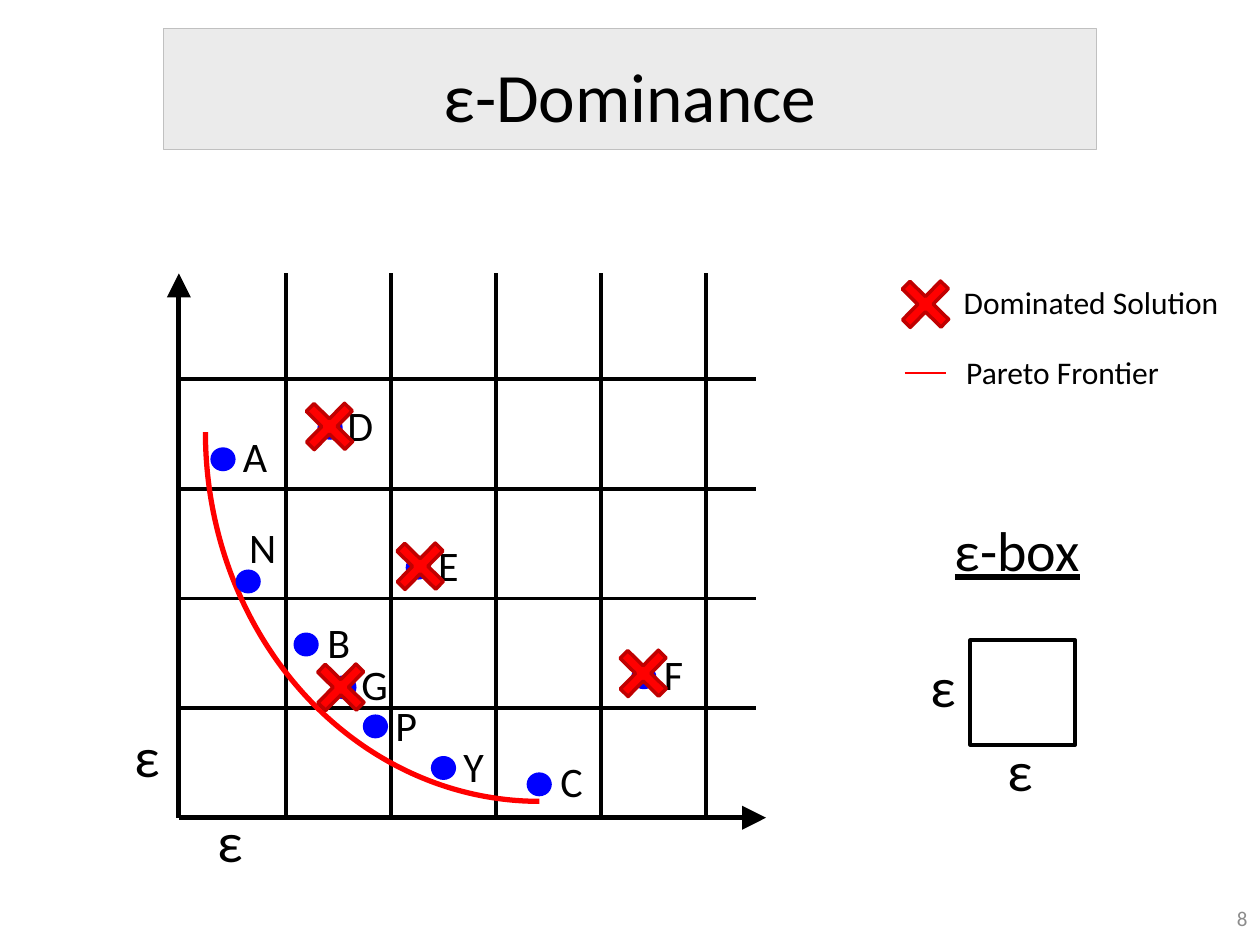
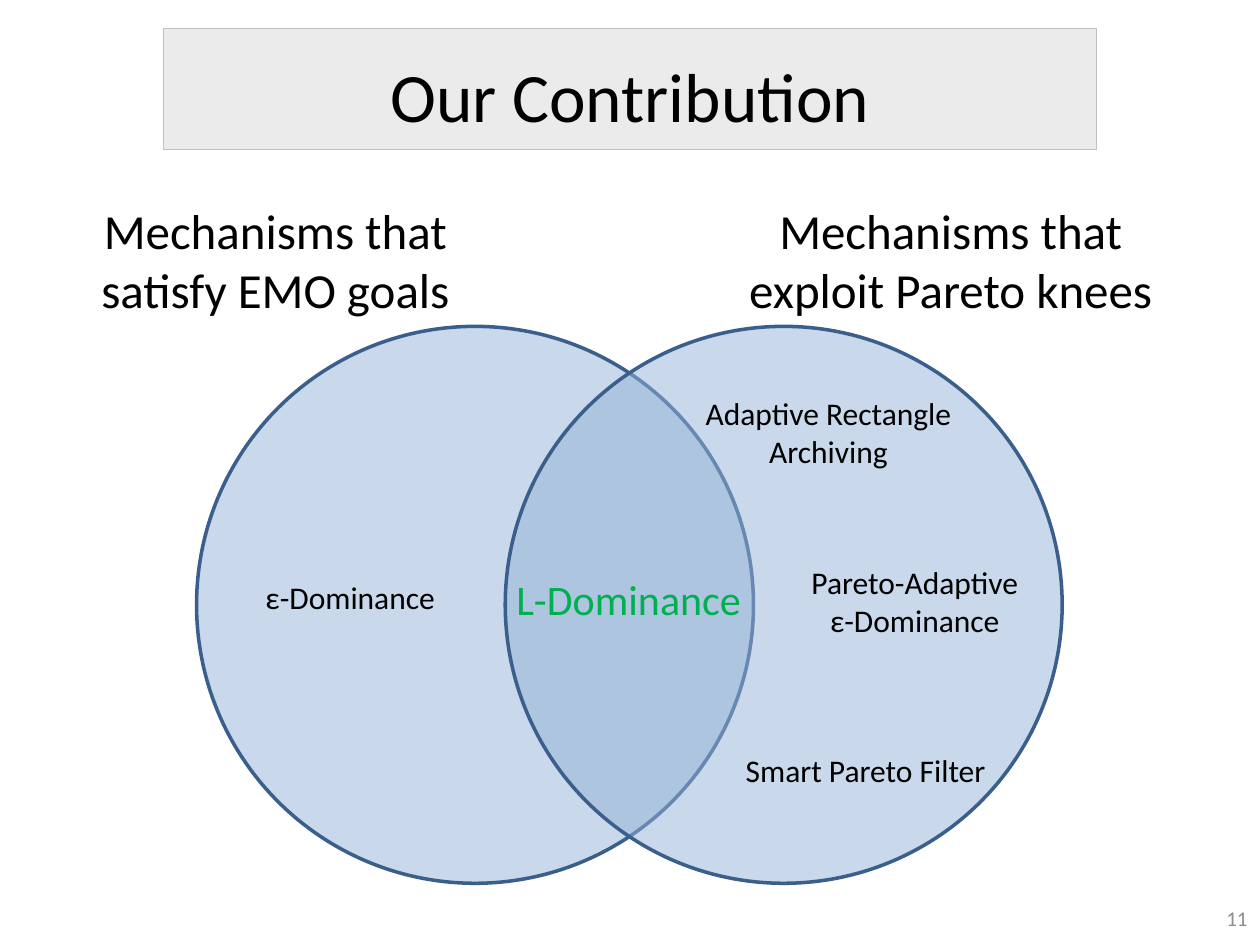
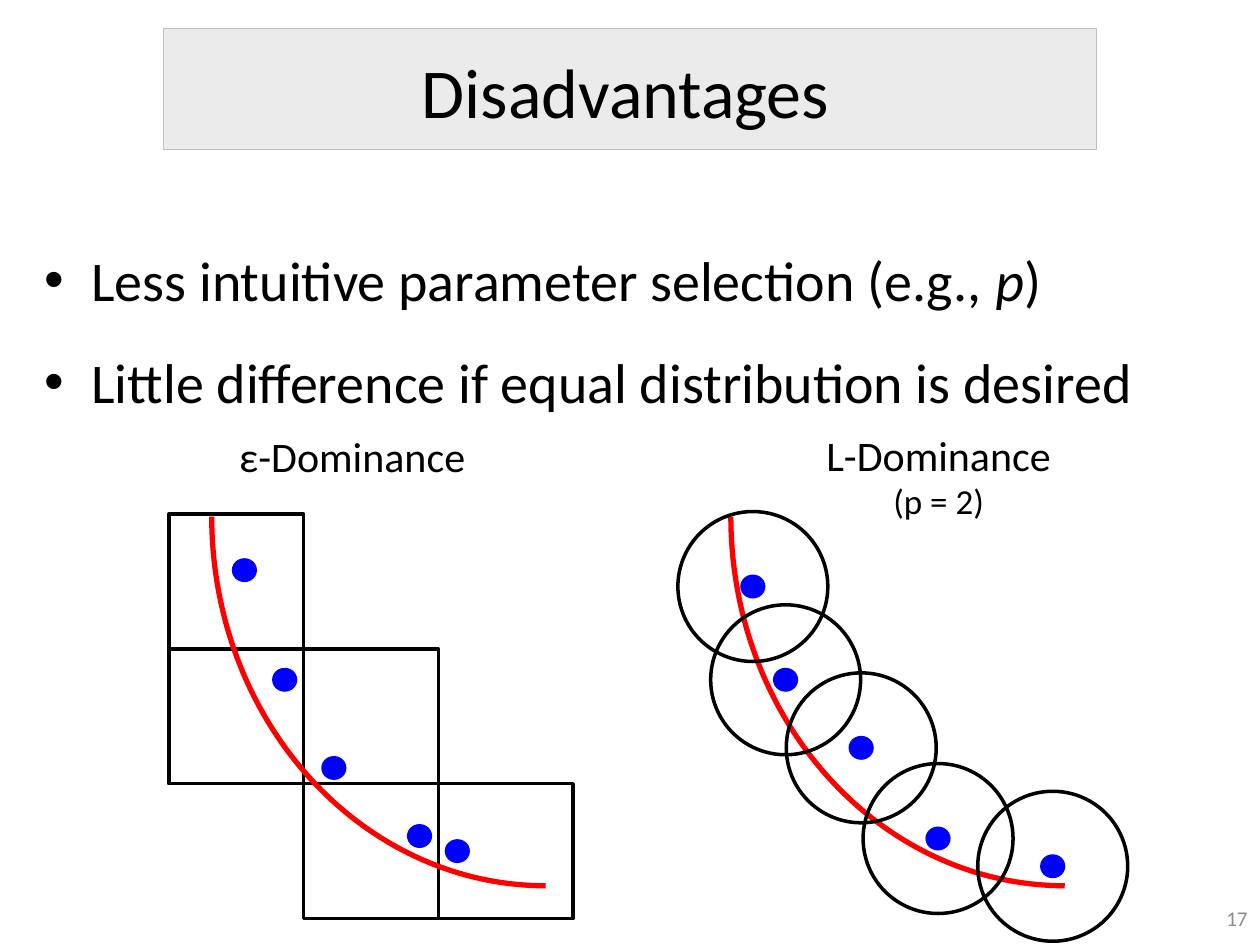
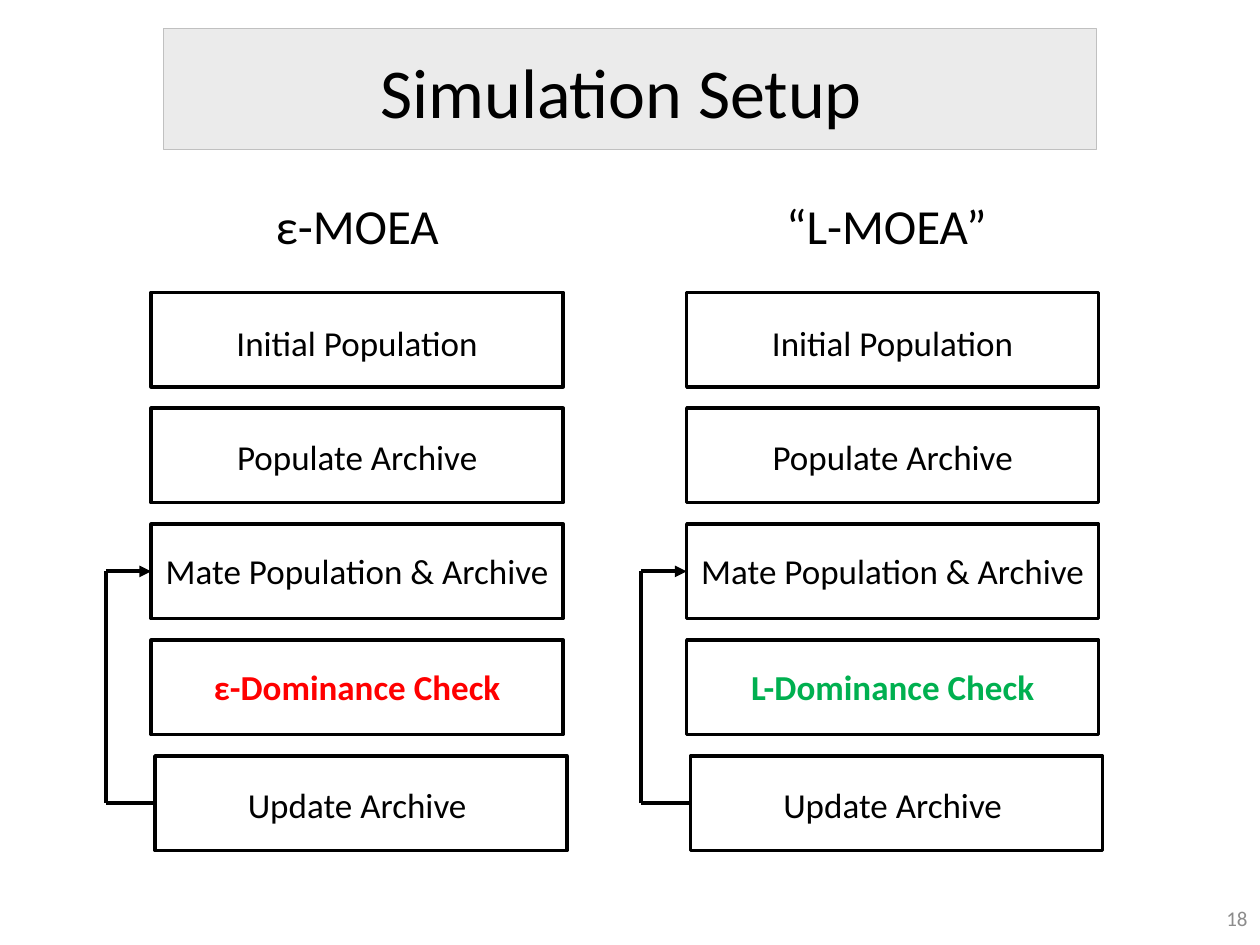
from dataclasses import dataclass

from lxml import etree
from pptx import Presentation
from pptx.dml.color import RGBColor as RGB
from pptx.enum.shapes import MSO_CONNECTOR as CONN, MSO_SHAPE as SHP
from pptx.enum.text import MSO_ANCHOR as ANC, MSO_AUTO_SIZE as FIT, PP_ALIGN as AL
from pptx.oxml.ns import qn
from pptx.util import Inches, Pt


@dataclass(frozen=True)
class Theme:
    font: str = "Calibri"
    black: str = "000000"
    gray: str = "8C8C8C"
    band: str = "C0C0C0"
    blue: str = "0000FF"
    red: str = "FF0000"
    dark_red: str = "C00000"
    green: str = "00B050"
    disc: str = "95B3D7"
    disc_edge: str = "3A5F8C"
    title: float = 39.6
    big_title: float = 40
    body: float = 32
    head: float = 28
    label: float = 24
    step: float = 20
    note: float = 18
    number: float = 12


T = Theme()
W, H = 10, 7.5


def write(shapes, text, at, box=None, size=T.note, color=T.black, bold=False,
          underline=False, align=AL.LEFT, anchor=ANC.TOP, wrap=False,
          fit=FIT.SHAPE_TO_FIT_TEXT, spacing=None):
    """Put text in a new text box, or in the placeholder given as box.

    A list holds paragraphs; a paragraph is a string or a list of (text, font changes).
    """
    x, y, w, h = (Inches(v) for v in at)
    if box is None:
        box = shapes.add_textbox(x, y, w, h)
    else:
        box.left, box.top, box.width, box.height = x, y, w, h
    tf = box.text_frame
    tf.word_wrap, tf.auto_size, tf.vertical_anchor = wrap, fit, anchor
    for i, para in enumerate(text if isinstance(text, list) else [text]):
        p = tf.add_paragraph() if i else tf.paragraphs[0]
        p.alignment = align
        if spacing:
            p.line_spacing = spacing
        for words, changes in [(para, {})] if isinstance(para, str) else para:
            r = p.add_run()
            r.text = words
            f = r.font
            f.name, f.size, f.bold, f.underline = T.font, Pt(size), bold, underline
            f.color.rgb = RGB.from_string(color)
            for key, value in changes.items():
                setattr(f, key, value)
    return box


def draw(shapes, kind, at, fill=None, line=None, width=2, alpha=None, arrow=None):
    """Draw a preset shape (left, top, width, height) or a line (from, to).

    An arrow is given as the size of its head: med or lg.
    """
    at = [Inches(v) for v in at]
    if kind == "line":
        sp = shapes.add_connector(CONN.STRAIGHT, *at)
    else:
        sp = shapes.add_shape(kind, *at)
        sp.shadow.inherit = False
        if fill:
            sp.fill.solid()
            sp.fill.fore_color.rgb = RGB.from_string(fill)
        else:
            sp.fill.background()
        if alpha:
            color = sp.element.spPr.find(qn("a:solidFill")).find(qn("a:srgbClr"))
            etree.SubElement(color, qn("a:alpha"), val=str(alpha * 1000))
    if line:
        sp.line.color.rgb = RGB.from_string(line)
        sp.line.width = Pt(width)
    else:
        sp.line.fill.background()
    if arrow:
        etree.SubElement(sp.element.spPr.find(qn("a:ln")), qn("a:tailEnd"),
                         type="triangle", w=arrow, len=arrow)
    if kind == "line":
        etree.SubElement(sp.element.spPr, qn("a:effectLst"))
    return sp


# Slides with title and number
prs = Presentation()
prs.slide_width, prs.slide_height = Inches(W), Inches(H)
WITH_BODY, TITLE_ONLY = prs.slide_layouts[1], prs.slide_layouts[5]
TITLE_AT = (0.15 * W, 0.42, 0.7 * W, 0.67)
slides = []
for title, number, layout, at, size in [
    ("ε-Dominance", "8", TITLE_ONLY, TITLE_AT, T.title),
    ("Our Contribution", "11", TITLE_ONLY, TITLE_AT, T.title),
    ("Disadvantages", "17", WITH_BODY, (3.23, 0.33, 3.47, 0.77), T.big_title),
    ("Simulation Setup", "18", TITLE_ONLY, (2.9, 0.33, 4.06, 0.77), T.big_title),
]:
    s = prs.slides.add_slide(layout)
    write(s.shapes, title, at, box=s.shapes.title, size=size, align=AL.CENTER,
          anchor=ANC.MIDDLE, wrap=True, fit=FIT.NONE)
    write(s.shapes, number, (W - 0.42, 7.09, 0.42, 0.4), size=T.number, color=T.gray,
          align=AL.RIGHT, anchor=ANC.MIDDLE, wrap=True, fit=FIT.NONE)
    slides.append(s.shapes)
dominance, contribution, disadvantages, setup = slides

# Title band, moved to the master behind everything
band = draw(dominance, SHP.RECTANGLE, (0.13 * W, 0.23, 0.74 * W, 0.96),
            fill=T.band, line=T.band, width=0.5, alpha=30)
prs.slide_master.shapes.element.insert(2, band.element)

# Shared sizes of the plots
DOT_W, DOT_H = 0.2, 0.19
ARC_W, ARC_H = 5.3, 5.86
CROSS = 0.43

# Slide 1: grid and axes
LEFT, TOP, BOTTOM = 1.42, 2.17, 6.49
FIRST_COL, LAST_COL = 2.27, 5.6
COL, ROW = (LAST_COL - FIRST_COL) / 4, 0.87
grid = dominance.add_group_shape().shapes
for i in range(5):
    x, y = FIRST_COL + i * COL, BOTTOM - i * ROW
    draw(grid, "line", (x, TOP, x, BOTTOM), line=T.black, width=2.25)
    draw(grid, "line", (LEFT, y, 6, y), line=T.black, width=2.25)
for end in [(LEFT, TOP), (6.08, BOTTOM)]:
    draw(dominance, "line", (LEFT, BOTTOM, *end), line=T.black, width=2.75, arrow="lg")

# Slide 1: legend and ε-box
draw(dominance, SHP.RECTANGLE, (7.7, 5.08, COL, COL), line=T.black)
write(dominance, "ε-box", (7.48, 4.04, 1.2, 0.64), size=T.body, underline=True)
for x, y in [(7.9, 5.79), (7.29, 5.12), (1.63, 6.35), (0.97, 5.68)]:
    write(dominance, "ε", (x, y, 0.41, 0.64), size=T.body)
draw(dominance, "line", (7.18, 2.96, 7.51, 2.96), line=T.red, width=1.5)
write(dominance, "Pareto Frontier", (7.57, 2.75, 1.75, 0.4))
write(dominance, "Dominated Solution", (7.55, 2.2, 2.25, 0.4))

# Slide 1: frontier, solutions (dot, label) and crosses
solutions = [("D", 2.52, 3.3, 2.66, 3.12), ("E", 3.22, 4.41, 3.38, 4.23),
             ("F", 5.01, 5.28, 5.17, 5.1), ("G", 2.63, 5.36, 2.77, 5.18),
             ("A", 1.67, 3.55, 1.83, 3.37), ("B", 2.33, 5.02, 2.5, 4.84),
             ("C", 4.18, 6.13, 4.35, 5.95), ("N", 1.87, 4.52, 1.88, 4.09),
             ("P", 2.88, 5.67, 3.04, 5.5), ("Y", 3.42, 6, 3.58, 5.83)]
frontiers = [draw(dominance, SHP.ARC, (1.63, 0.5, ARC_W, ARC_H), line=T.red, width=3)]
for name, x, y, label_x, label_y in solutions:
    draw(dominance, SHP.OVAL, (x, y, DOT_W, DOT_H), fill=T.blue)
    write(dominance, name, (label_x, label_y, 0.4, 0.5), size=T.label)
for x, y in [(3.12, 4.28), (4.89, 5.13), (2.4, 3.17), (2.49, 5.24), (7.13, 2.2)]:
    cross = draw(dominance, SHP.CROSS, (x, y, CROSS, CROSS), fill=T.red, line=T.dark_red)
    cross.adjustments[0] = 0.4
    cross.rotation = 44.5

# Slide 2: two overlapping sets
for x in (1.56, 4.01):
    draw(contribution, SHP.OVAL, (x, 2.59, 4.42, 4.42), fill=T.disc, alpha=50,
         line=T.disc_edge)
for text, x, w in [("Mechanisms that satisfy EMO goals", 0.6, 3.17),
                   ("Mechanisms that exploit Pareto knees", 5.67, 3.75)]:
    write(contribution, text, (x, 1.54, w, 1.04), size=T.head, align=AL.CENTER, wrap=True)
write(contribution, "L-Dominance", (4, 4.5, 2, 0.5), size=T.label, color=T.green)
write(contribution, "ε-Dominance", (2, 4.54, 1.56, 0.4), align=AL.CENTER)
for text, at in [("Adaptive Rectangle Archiving", (5.4, 3.08, 2.35, 0.71)),
                 (["Pareto-Adaptive", "ε-Dominance"], (6.05, 4.42, 2.42, 0.71)),
                 ("Smart Pareto Filter", (5.66, 5.91, 2.42, 0.4))]:
    write(contribution, text, at, align=AL.CENTER, wrap=True)

# Slide 3: bullets
write(disadvantages,
      [[("Less intuitive parameter selection (e.g., ", {}), ("p", {"italic": True}), (")", {})],
       "Little difference if equal distribution is desired"],
      (0.25, 1.71, 9.5, 5.54), box=disadvantages.placeholders[1], size=T.body, wrap=True,
      fit=FIT.NONE, spacing=1.35)

# Slide 3: boxes along the frontier
BOX = 1.07
for col, row in [(0, 0), (0, 1), (1, 1), (1, 2), (2, 2)]:
    draw(disadvantages, SHP.RECTANGLE, (1.34 + col * BOX, 4.08 + row * BOX, BOX, BOX),
         line=T.black)
for x in (1.68, 5.8):
    frontiers.append(draw(disadvantages, SHP.ARC, (x, 1.17, ARC_W, ARC_H),
                          line=T.red, width=3))
for arc in frontiers:
    arc.rotation = 180
for x, y in [(1.84, 4.43), (2.16, 5.3), (2.55, 6), (3.23, 6.54), (3.53, 6.66)]:
    draw(disadvantages, SHP.OVAL, (x, y, DOT_W, DOT_H), fill=T.blue)

# Slide 3: circles, each around its dot
RING = 1.19
for x, y in [(5.38, 4.06), (5.64, 4.8), (6.24, 5.34), (6.85, 6.06), (7.76, 6.28)]:
    pair = disadvantages.add_group_shape().shapes
    draw(pair, SHP.OVAL, (x, y, RING, RING), line=T.black)
    draw(pair, SHP.OVAL, (x + (RING - DOT_W) / 2, y + (RING - DOT_H) / 2, DOT_W, DOT_H),
         fill=T.blue)
write(disadvantages, "ε-Dominance", (1.8, 3.37, 2.09, 0.5), size=T.label)
write(disadvantages, ["L-Dominance", [("(p = 2)", {"size": Pt(T.step)})]],
      (6.45, 3.36, 2, 0.84), size=T.label, align=AL.CENTER)

# Slide 4: two algorithms, five steps each
STEP_TOP, STEP_W, STEP_H, PITCH = 2.32, 3.27, 0.75, 0.92
for left, head, head_x, head_w, check, color in [
    (1.2, "ε-MOEA", 1.92, 1.83, "ε-Dominance Check", T.red),
    (5.45, "“L-MOEA”", 6, 2.07, "L-Dominance Check", T.green),
]:
    write(setup, head, (head_x, 1.5, head_w, 0.57), size=T.head, align=AL.CENTER, wrap=True)
    boxes = []
    for i, (step, y, w) in enumerate([
        ("Initial Population", 2.5, 2.14), ("Populate Archive", 3.41, 2.13),
        ("Mate Population & Archive", 4.31, 3.27), (check, 5.23, 2.6),
        ("Update Archive", 6.17, 1.96),
    ]):
        x = left + 0.03 if i == 4 else left
        boxes.append(draw(setup, SHP.RECTANGLE,
                          (x, STEP_TOP + i * PITCH, STEP_W, STEP_H), line=T.black))
        write(setup, step, (left + (STEP_W - w) / 2, y, w, 0.44), size=T.step,
              color=color if step == check else T.black, bold=step == check,
              align=AL.CENTER)

    # Loop from the last step back to mating
    loop_x = left - 0.36
    high, low = (STEP_TOP + i * PITCH + STEP_H / 2 for i in (2, 4))
    start = draw(setup, "line", (left, low, loop_x, low), line=T.black, width=2.25)
    start.begin_connect(boxes[4], 1)
    draw(setup, "line", (loop_x, low, loop_x, high), line=T.black, width=2.25)
    back = draw(setup, "line", (loop_x, high, left, high), line=T.black, width=2.25,
                arrow="med")
    back.end_connect(boxes[2], 1)

prs.save("out.pptx")
